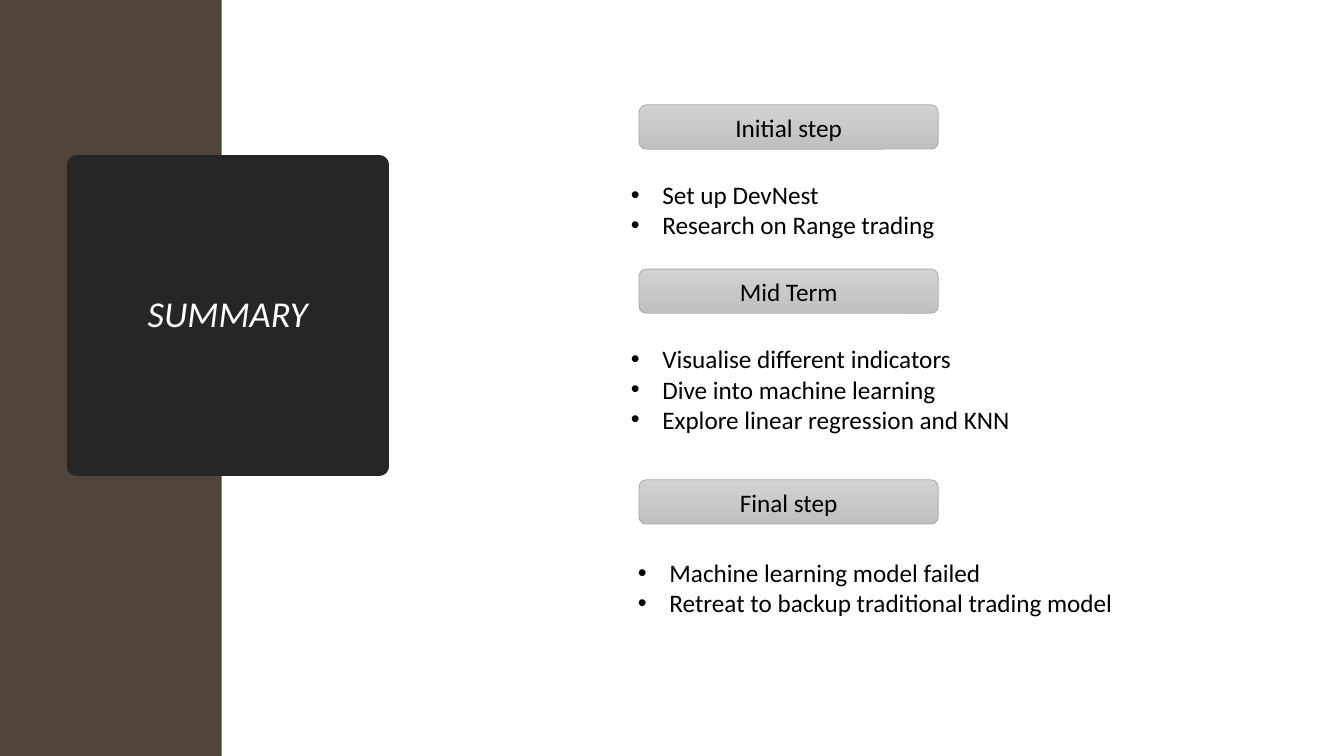
import pptx
import pptx.util
import pptx.dml.color
import pptx.enum.shapes
import pptx.enum.text
import lxml.etree
import pptx.oxml.ns

Pt = pptx.util.Pt
qn = pptx.oxml.ns.qn
RGB = pptx.dml.color.RGBColor.from_string
kinds = pptx.enum.shapes.MSO_SHAPE
mid = pptx.enum.text.MSO_ANCHOR.MIDDLE
center = pptx.enum.text.PP_ALIGN.CENTER
hues = {"band": "4F453A", "card": "262626", "light": "D2D2D2",
        "dark": "C0C0C0", "edge": "A5A5A5", "text": "000000", "white": "FFFFFF"}


def style(para, size, hue):
    font = para.runs[0].font
    font.name = "Calibri"
    font.size = Pt(size)
    font.color.rgb = RGB(hues[hue])
    return font


deck = pptx.Presentation()
deck.slide_width, deck.slide_height = Pt(960), Pt(540)
slide = deck.slides.add_slide(deck.slide_layouts[5])
shapes = slide.shapes

band = shapes.add_shape(kinds.RECTANGLE, 0, 0, Pt(158.4), Pt(540))
band.shadow.inherit = False
band.fill.solid()
band.fill.fore_color.rgb = RGB(hues["band"])
band.line.fill.background()

title = shapes.title
title.element.addprevious(band.element)
title.left, title.top, title.width, title.height = Pt(54.7), Pt(117.4), Pt(216), Pt(216)
title.fill.solid()
title.fill.fore_color.rgb = RGB(hues["card"])
title.line.color.rgb = RGB(hues["card"])
title.line.width = Pt(13.75)
lxml.etree.SubElement(title.element.spPr.find(qn("a:ln")), qn("a:round"))
frame = title.text_frame
frame.text = "SUMMARY"
frame.auto_size = pptx.enum.text.MSO_AUTO_SIZE.NONE
frame.vertical_anchor = mid
para = frame.paragraphs[0]
para.alignment = center
para.line_spacing = 0.9
para.space_after = Pt(10)
style(para, 26, "white").italic = True

steps = [
    ("Initial step", 74.9, 443.5, 124.6, 265,
     ["Set up DevNest", "Research on Range trading"]),
    ("Mid Term", 192.2, 443.5, 241.9, 308.2,
     ["Visualise different indicators", "Dive into machine learning",
      "Explore linear regression and KNN"]),
    ("Final step", 342.7, 448.6, 394.6, 357.8,
     ["Machine learning model failed", "Retreat to backup traditional trading model"]),
]

for name, top, left, start, width, items in steps:
    head = shapes.add_shape(kinds.ROUNDED_RECTANGLE, Pt(456.5), Pt(top), Pt(213.8), Pt(31.7))
    head.shadow.inherit = False
    head.fill.gradient()
    head.fill.gradient_angle = 270
    for stop, hue in zip(head.fill.gradient_stops, ("light", "dark")):
        stop.color.rgb = RGB(hues[hue])
    head.line.color.rgb = RGB(hues["edge"])
    head.line.width = Pt(0.5)
    head.text_frame.text = name
    head.text_frame.vertical_anchor = mid
    head.text_frame.paragraphs[0].alignment = center
    style(head.text_frame.paragraphs[0], 18, "text")

    box = shapes.add_textbox(Pt(left), Pt(start), Pt(width), Pt(7.2 + 22 * len(items)))
    frame = box.text_frame
    frame.word_wrap = True
    frame.text = "\n".join(items)
    for para in frame.paragraphs:
        style(para, 18, "text")
        props = para._p.get_or_add_pPr()
        props.set("marL", str(Pt(22.5)))
        props.set("indent", str(-Pt(22.5)))
        lxml.etree.SubElement(props, qn("a:buFont")).set("typeface", "Arial")
        lxml.etree.SubElement(props, qn("a:buChar")).set("char", "•")

deck.save("out.pptx")
